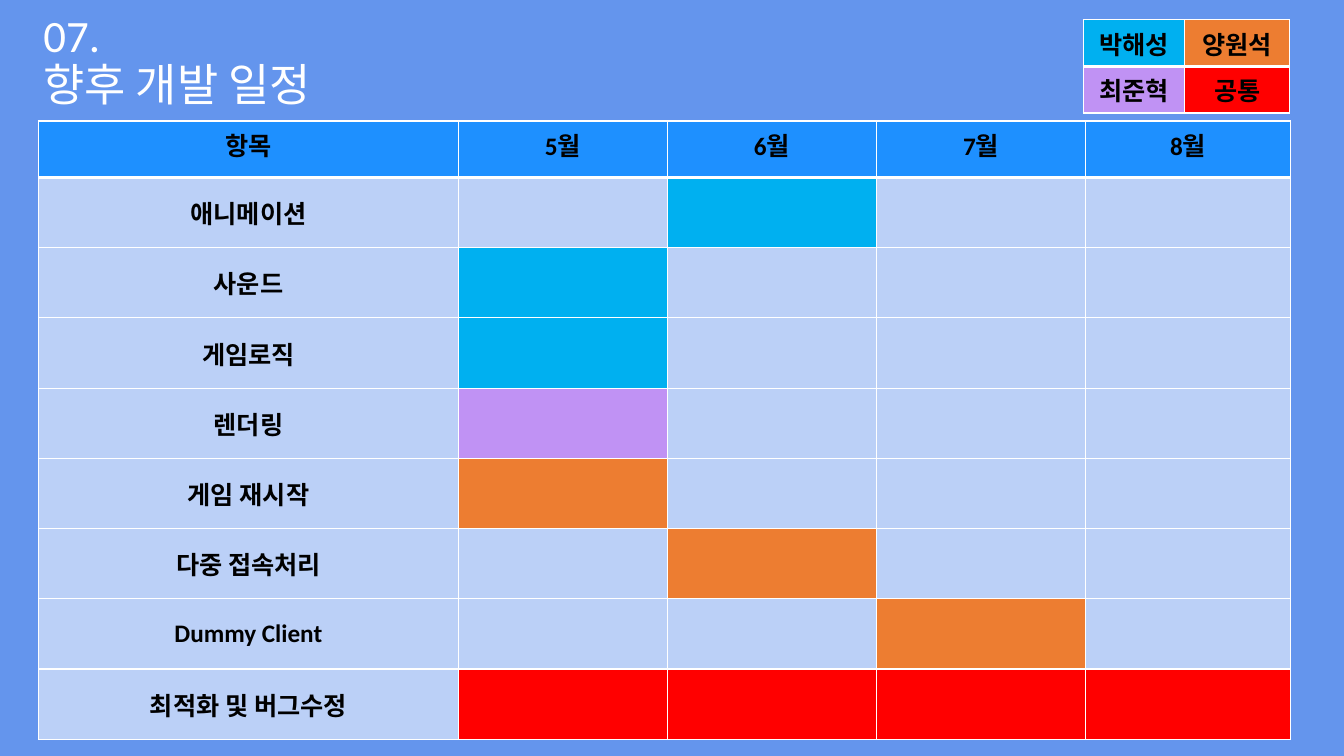
from dataclasses import dataclass, field

from lxml.etree import Element, SubElement
from pptx import Presentation
from pptx.dml.color import RGBColor
from pptx.enum.text import MSO_ANCHOR, MSO_AUTO_SIZE, PP_ALIGN
from pptx.oxml.ns import qn
from pptx.slide import Slide
from pptx.table import _Cell
from pptx.util import Cm, Pt


@dataclass(frozen=True)
class Theme:
    background: str = "6495ED"
    header: str = "1E90FF"
    idle: str = "BBD0F7"
    cyan: str = "00B0F0"
    orange: str = "ED7D31"
    violet: str = "C092F4"
    red: str = "FF0000"
    line: str = "FFFFFF"
    title_text: str = "FFFFFF"
    cell_text: str = "000000"
    latin_font: str = "Calibri"
    korean_font: str = "Noto Sans CJK KR"
    title_size: int = 32
    cell_size: int = 18
    thin_line: int = 1
    thick_line: int = 3


THEME = Theme()


@dataclass(frozen=True)
class CellSpec:
    fill: str
    text: str = ""
    font: str = THEME.latin_font
    anchor: MSO_ANCHOR = MSO_ANCHOR.TOP


@dataclass(frozen=True)
class TableSpec:
    left: float
    top: float
    column_widths: list[float]
    row_heights: list[float]
    rows: list[list[CellSpec]]


@dataclass(frozen=True)
class Task:
    name: str
    owner: str
    months: set[str] = field(default_factory=set)
    font: str = THEME.latin_font


MONTHS = ["5월", "6월", "7월", "8월"]

TASKS = [
    Task("애니메이션", THEME.cyan, {"6월"}),
    Task("사운드", THEME.cyan, {"5월"}),
    Task("게임로직", THEME.cyan, {"5월"}),
    Task("렌더링", THEME.violet, {"5월"}, THEME.korean_font),
    Task("게임 재시작", THEME.orange, {"5월"}),
    Task("다중 접속처리", THEME.orange, {"6월"}),
    Task("Dummy Client", THEME.orange, {"7월"}),
    Task("최적화 및 버그수정", THEME.red, set(MONTHS)),
]


def task_row(task: Task) -> list[CellSpec]:
    label = CellSpec(THEME.idle, task.name, task.font, MSO_ANCHOR.MIDDLE)
    return [label] + [
        CellSpec(task.owner if month in task.months else THEME.idle)
        for month in MONTHS
    ]


def schedule_table() -> TableSpec:
    header = [CellSpec(THEME.header, "항목", THEME.korean_font)]
    header += [CellSpec(THEME.header, month) for month in MONTHS]
    return TableSpec(
        left=0.97,
        top=3.05,
        column_widths=[10.58, 5.27, 5.27, 5.27, 5.17],
        row_heights=[1.42] + [1.77] * len(TASKS),
        rows=[header] + [task_row(task) for task in TASKS],
    )


def legend_table() -> TableSpec:
    return TableSpec(
        left=27.3,
        top=0.5,
        column_widths=[2.56, 2.64],
        row_heights=[1.03, 1.03],
        rows=[
            [CellSpec(THEME.cyan, "박해성"), CellSpec(THEME.orange, "양원석")],
            [CellSpec(THEME.violet, "최준혁"), CellSpec(THEME.red, "공통")],
        ],
    )


def draw_borders(cell: _Cell, row_index: int) -> None:
    widths = {
        "L": THEME.thin_line,
        "R": THEME.thin_line,
        "T": THEME.thick_line if row_index == 1 else THEME.thin_line,
        "B": THEME.thick_line if row_index == 0 else THEME.thin_line,
    }
    properties = cell._tc.get_or_add_tcPr()
    for position, (side, width) in enumerate(widths.items()):
        border = Element(qn(f"a:ln{side}"), w=str(Pt(width)))
        solid = SubElement(border, qn("a:solidFill"))
        SubElement(solid, qn("a:srgbClr"), val=THEME.line)
        properties.insert(position, border)


def draw_cell(cell: _Cell, spec: CellSpec, row_index: int) -> None:
    cell.fill.solid()
    cell.fill.fore_color.rgb = RGBColor.from_string(spec.fill)
    draw_borders(cell, row_index)
    if not spec.text:
        return
    cell.vertical_anchor = spec.anchor
    para = cell.text_frame.paragraphs[0]
    para.alignment = PP_ALIGN.CENTER
    span = para.add_run()
    span.text = spec.text
    span.font.name = spec.font
    span.font.size = Pt(THEME.cell_size)
    span.font.bold = True
    span.font.color.rgb = RGBColor.from_string(THEME.cell_text)


def draw_table(page: Slide, spec: TableSpec) -> None:
    table = page.shapes.add_table(
        len(spec.rows),
        len(spec.column_widths),
        Cm(spec.left),
        Cm(spec.top),
        Cm(sum(spec.column_widths)),
        Cm(sum(spec.row_heights)),
    ).table
    for column, width in zip(table.columns, spec.column_widths):
        column.width = Cm(width)
    for row, height in zip(table.rows, spec.row_heights):
        row.height = Cm(height)
    for row_index, cells in enumerate(spec.rows):
        for column_index, cell in enumerate(cells):
            draw_cell(table.cell(row_index, column_index), cell, row_index)


def draw_title(page: Slide, lines: list[str]) -> None:
    box = page.shapes.title
    box.left, box.top, box.width, box.height = Cm(0.84), Cm(0.81), Cm(21), Cm(1.52)
    frame = box.text_frame
    frame.word_wrap = True
    frame.auto_size = MSO_AUTO_SIZE.NONE
    frame.vertical_anchor = MSO_ANCHOR.MIDDLE
    para = frame.paragraphs[0]
    para.alignment = PP_ALIGN.LEFT
    para.line_spacing = 0.9
    for index, line in enumerate(lines):
        if index:
            para.add_line_break()
        span = para.add_run()
        span.text = line
        span.font.name = THEME.latin_font
        span.font.size = Pt(THEME.title_size)
        span.font.color.rgb = RGBColor.from_string(THEME.title_text)


def main() -> None:
    deck = Presentation()
    deck.slide_width, deck.slide_height = Cm(33.87), Cm(19.05)
    page = deck.slides.add_slide(deck.slide_layouts[5])
    page.background.fill.solid()
    page.background.fill.fore_color.rgb = RGBColor.from_string(THEME.background)
    draw_title(page, ["07.", "향후 개발 일정"])
    for table in (schedule_table(), legend_table()):
        draw_table(page, table)
    deck.save("out.pptx")


if __name__ == "__main__":
    main()
